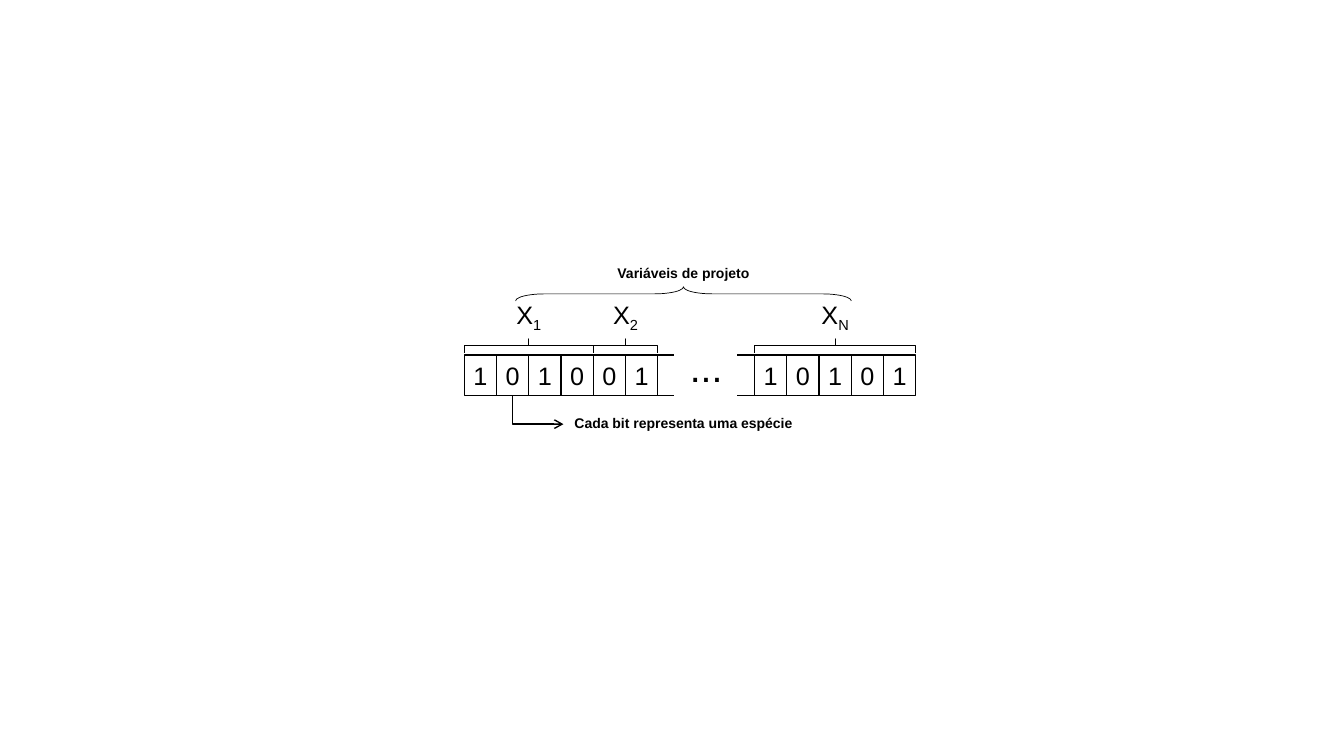
"""Draw a binary chromosome whose bit groups encode the design variables."""
from dataclasses import dataclass

from lxml.etree import SubElement
from pptx import Presentation
from pptx.dml.color import RGBColor
from pptx.enum.shapes import MSO_CONNECTOR, MSO_SHAPE
from pptx.enum.text import MSO_ANCHOR, PP_ALIGN
from pptx.oxml.ns import qn
from pptx.shapes.autoshape import Shape
from pptx.slide import Slide
from pptx.text.text import TextFrame
from pptx.util import Pt

COLORS = {"ink": "000000", "paper": "FFFFFF"}
ROW_LEFT, ROW_TOP = 331.6, 253.6
BIT_WIDTH, BIT_HEIGHT = 23.04, 29.1
BRACE_DEPTH = 10.08
VARIABLE_WIDTH = 44
CHROMOSOME = [*"101001", "", None, "", *"10101"]


@dataclass
class Box:
    left: float
    top: float
    width: float
    height: float


@dataclass
class Variable:
    index: str
    first_bit: int
    end_bit: int

    @property
    def center(self) -> float:
        return ROW_LEFT + (self.first_bit + self.end_bit) / 2 * BIT_WIDTH

    @property
    def span(self) -> float:
        return (self.end_bit - self.first_bit) * BIT_WIDTH


@dataclass
class Label:
    text: str
    box: Box
    size: float
    bold: bool = False
    subscript: str = ""


VARIABLES = [Variable("1", 0, 4), Variable("2", 4, 6), Variable("N", 9, 14)]
LABELS = [
    Label("...", Box(485.3, 241.9, 38.2, 41), 28),
    *(Label("X", Box(variable.center - VARIABLE_WIDTH / 2, 210.2, VARIABLE_WIDTH, 29.1), 18,
            subscript=variable.index) for variable in VARIABLES),
    Label("Variáveis de projeto", Box(364.3, 185.4, 247.7, 19.4), 10, True),
    Label("Cada bit representa uma espécie", Box(364.3, 292.3, 247.7, 19.4), 10, True),
]


def color(name: str) -> RGBColor:
    return RGBColor.from_string(COLORS[name])


def lengths(box: Box) -> tuple[Pt, ...]:
    return Pt(box.left), Pt(box.top), Pt(box.width), Pt(box.height)


def write(frame: TextFrame, text: str, size: float, bold: bool = False, subscript: str = "") -> None:
    frame.word_wrap = False
    paragraph = frame.paragraphs[0]
    paragraph.alignment = PP_ALIGN.CENTER
    font_format = {"name": "Arial", "size": Pt(size), "bold": bold}
    for part in filter(None, (text, subscript)):
        run = paragraph.add_run()
        run.text = part
        for attribute, value in font_format.items():
            setattr(run.font, attribute, value)
        run.font.color.rgb = color("ink")
    if subscript:
        run.font._element.set("baseline", "-25000")


def add_outline(slide: Slide, preset: MSO_SHAPE, box: Box, line: str = "ink",
                weight: float = 1) -> Shape:
    outline = slide.shapes.add_shape(preset, *lengths(box))
    outline.shadow.inherit = False
    outline.fill.background()
    outline.line.color.rgb = color(line)
    outline.line.width = Pt(weight)
    return outline


def add_bit(slide: Slide, position: int, bit: str) -> None:
    box = Box(ROW_LEFT + position * BIT_WIDTH, ROW_TOP, BIT_WIDTH, BIT_HEIGHT)
    cell = add_outline(slide, MSO_SHAPE.RECTANGLE, box)
    if bit:
        frame_format = {"margin_left": 0, "margin_right": 0, "margin_top": 0,
                        "margin_bottom": 0, "vertical_anchor": MSO_ANCHOR.MIDDLE}
        for attribute, value in frame_format.items():
            setattr(cell.text_frame, attribute, value)
        write(cell.text_frame, bit, 18)


def add_brace(slide: Slide, center: float, middle: float, span: float, curve: float) -> None:
    box = Box(center - BRACE_DEPTH / 2, middle - span / 2, BRACE_DEPTH, span)
    brace = add_outline(slide, MSO_SHAPE.RIGHT_BRACE, box, weight=0.5)
    brace.rotation = 270
    brace.adjustments[0] = curve
    brace.adjustments[1] = 0.5


def add_bit_arrow(slide: Slide) -> None:
    start, end = ROW_LEFT + 1.5 * BIT_WIDTH, 402.5
    top, bottom = ROW_TOP + BIT_HEIGHT, 303
    center, middle = (start + end) / 2, (top + bottom) / 2
    half_drop, half_reach = (bottom - top) / 2, (end - start) / 2
    arrow = slide.shapes.add_connector(
        MSO_CONNECTOR.ELBOW, Pt(center - half_drop), Pt(middle + half_reach),
        Pt(center + half_drop), Pt(middle - half_reach))
    arrow.line.color.rgb = color("ink")
    arrow.line.width = Pt(1)
    properties = arrow._element.spPr
    properties.find(qn("a:xfrm")).set("rot", "5400000")
    properties.find(qn("a:prstGeom")).set("prst", "bentConnector2")
    SubElement(properties.find(qn("a:ln")), qn("a:tailEnd"), type="arrow")
    SubElement(properties, qn("a:effectLst"))


def main() -> None:
    presentation = Presentation()
    presentation.slide_width, presentation.slide_height = Pt(960), Pt(540)
    slide = presentation.slides.add_slide(presentation.slide_layouts[6])

    for position, bit in enumerate(CHROMOSOME):
        if bit is not None:
            add_bit(slide, position, bit)
    for variable in VARIABLES:
        add_brace(slide, variable.center, 247, variable.span, 0)

    gap = add_outline(slide, MSO_SHAPE.RECTANGLE, Box(481.7, 239, 44.6, 57.6), "paper")
    gap.fill.solid()
    gap.fill.fore_color.rgb = color("paper")

    for label in LABELS:
        caption = slide.shapes.add_textbox(*lengths(label.box))
        write(caption.text_frame, label.text, label.size, label.bold, label.subscript)

    add_bit_arrow(slide)
    add_brace(slide, 488.2, 209.9, 239.8, 2.07)
    presentation.save("out.pptx")


if __name__ == "__main__":
    main()
